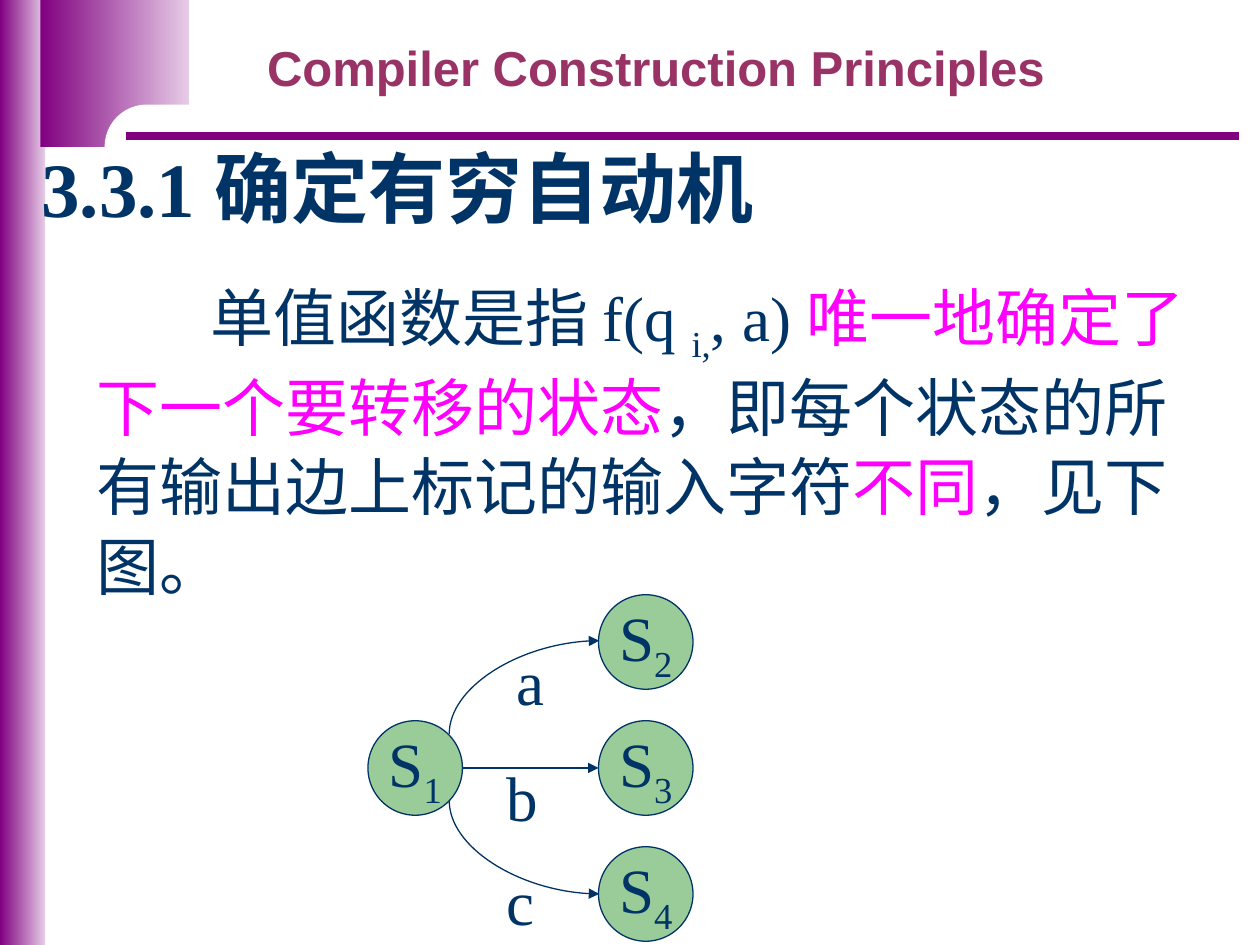
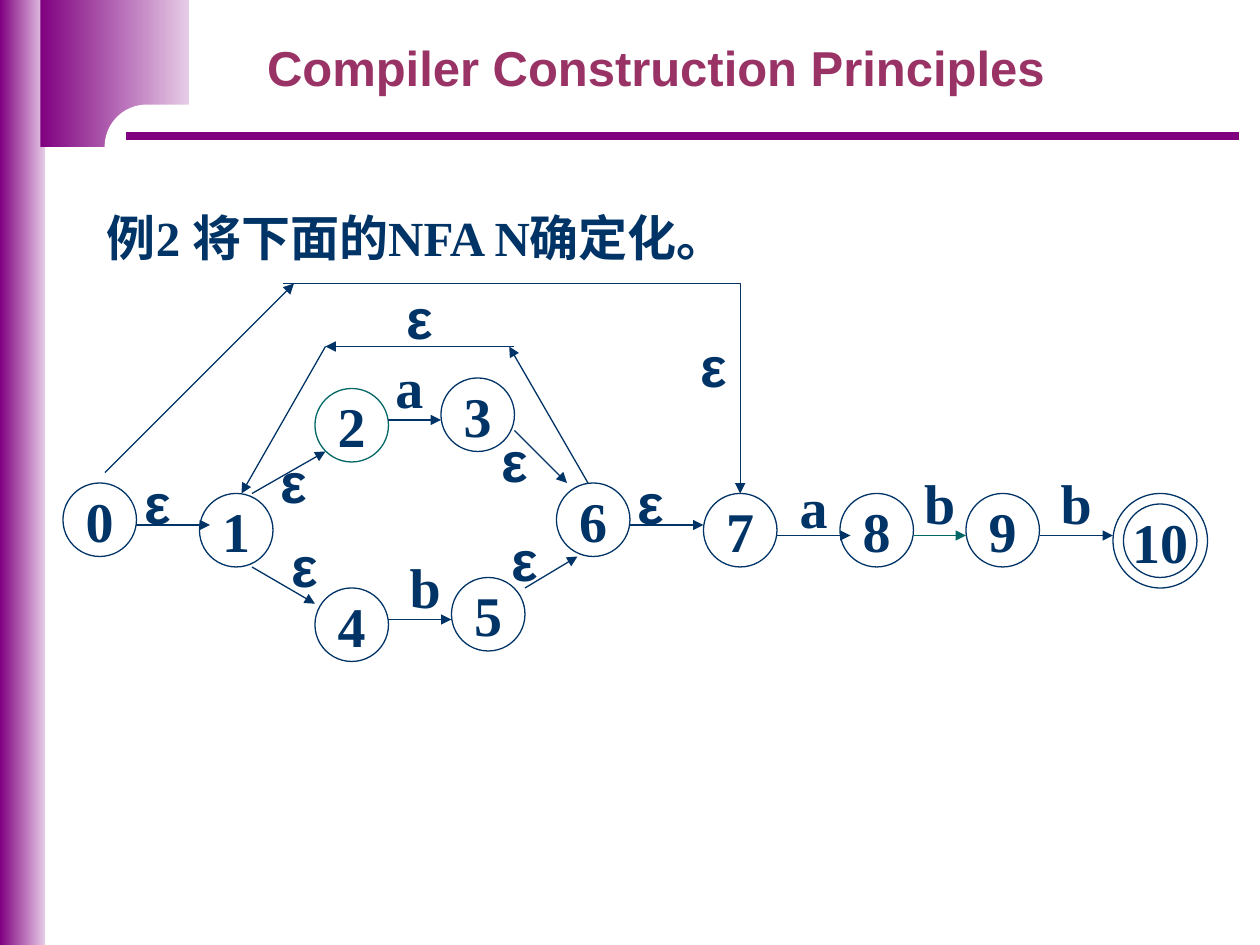
from lxml.etree import SubElement
from pptx import Presentation
from pptx.dml.color import RGBColor
from pptx.enum.shapes import MSO_CONNECTOR as LINK, MSO_SHAPE as SHAPE
from pptx.enum.text import MSO_ANCHOR as ANCHOR, PP_ALIGN as ALIGN
from pptx.oxml.ns import qn
from pptx.util import Inches, Pt

WIDTH, HEIGHT = 10, 7.5
INK, PURPLE, LILAC, PINK = "003366", "800080", "E6CCE6", "FF00FF"
PLUM, GREEN, TEAL, WHITE = "993366", "99CC99", "006666", "FFFFFF"
SERIF, SANS = "Times New Roman", "Arial"
COURSE = "Compiler Construction Principles"

SECTION = "3.3.1 确定有穷自动机"
DEFINITION = [
    ("单值函数是指 f(q ", INK, 0),
    ("i,", INK, -25),
    (", a) ", INK, 0),
    ("唯一地确定了下一个要转移的状态", PINK, 0),
    ("，即每个状态的所有输出边上标记的输入字符", INK, 0),
    ("不同", PINK, 0),
    ("，见下图。", INK, 0),
]
STATE_SIZE = 0.75
START = ("1", 2.92, 5.72)
TARGETS = [(str(row + 2), 4.75, 4.72 + row) for row in range(3)]
BRANCH_LABELS = [("a", 4, 5.05), ("b", 3.92, 5.97), ("c", 3.92, 6.8)]
BRANCH_CURVES = [
    ((4.53, 6.05), (3.79, 4.86), 90),
    ((4.53, 6.13), (3.79, 7.32), 270),
]

EXAMPLE = "例2 将下面的NFA N确定化。"
GRID = 1 / 12
NODE_SIZE, FINAL_SIZE = 7, 9
NODES = [
    ("0", 6, 46), ("1", 19, 47), ("2", 30, 37), ("3", 42, 36), ("4", 30, 56),
    ("5", 43, 55), ("6", 53, 46), ("7", 67, 47), ("8", 80, 47), ("9", 92, 47),
    ("10", 107, 48),
]
ARROWS = [
    ((13, 50), (20, 50)), ((24, 47), (31, 43)), ((24, 54), (30, 57.5)),
    ((37, 40), (42, 40)), ((37, 59), (43, 59)), ((49, 41), (54, 46)),
    ((50, 56), (55, 53)), ((60, 50), (67, 50)), ((74, 51), (81, 51)),
    ((87, 51), (92, 51)), ((99, 51), (106, 51)), ((56, 46), (48.5, 33)),
    ((49, 33), (31, 33)), ((31, 33), (23, 47)), ((10, 45), (28, 27)),
]
TEAL_ARROW = ((87, 51), (92, 51))
BOLD_ARROW = ((37, 40), (42, 40))
BYPASS = ((27, 27), (70.5, 47))
LABELS = {
    "ε": [(15, 44), (28, 42), (49, 40), (50, 49.5), (29, 50), (40, 26.4),
          (62, 44), (68, 31)],
    "a": [(77.5, 44.4), (39, 33)],
    "b": [(40.5, 52), (89.5, 44), (102.5, 44)],
}


def color(code):
    return RGBColor.from_string(code)


def add_span(para, text, size, ink=INK, font=SERIF, bold=False, shift=0):
    span = para.add_run()
    span.text = text
    span.font.size = Pt(size)
    span.font.name = font
    span.font.bold = bold
    span.font.color.rgb = color(ink)
    if shift:
        span.font._element.set("baseline", str(shift * 1000))


def add_text(page, left, top, width, height, align=ALIGN.LEFT, spacing=None,
             anchor=ANCHOR.TOP):
    box = page.shapes.add_textbox(*map(Inches, (left, top, width, height)))
    frame = box.text_frame
    frame.word_wrap = True
    frame.vertical_anchor = anchor
    para = frame.paragraphs[0]
    para.alignment = align
    if spacing:
        para.line_spacing = spacing
    return para


def add_block(page, kind, left, top, width, height, fill=None, line=None):
    block = page.shapes.add_shape(kind, *map(Inches, (left, top, width, height)))
    block.shadow.inherit = False
    if isinstance(fill, tuple):
        block.fill.gradient()
        block.fill.gradient_angle = 0
        for stop, code, position in zip(block.fill.gradient_stops, fill, (0, 1)):
            stop.color.rgb = color(code)
            stop.position = position
    elif fill:
        block.fill.solid()
        block.fill.fore_color.rgb = color(fill)
    else:
        block.fill.background()
    if line:
        block.line.color.rgb = color(line)
        block.line.width = Pt(0.75)
    else:
        block.line.fill.background()
    return block


def add_circle(page, left, top, size, fill=None, line=INK):
    circle = add_block(page, SHAPE.OVAL, left, top, size, size, fill, line)
    frame = circle.text_frame
    frame.word_wrap = False
    frame.vertical_anchor = ANCHOR.MIDDLE
    para = frame.paragraphs[0]
    para.alignment = ALIGN.CENTER
    return para


def add_link(page, start, end, kind=LINK.STRAIGHT, ink=INK, weight=0.75,
             arrow=True, preset=None, turn=0):
    link = page.shapes.add_connector(kind, *map(Inches, (*start, *end)))
    link.line.color.rgb = color(ink)
    link.line.width = Pt(weight)
    properties = link._element.spPr
    if arrow:
        SubElement(link.line._get_or_add_ln(), qn("a:tailEnd"), type="triangle")
    SubElement(properties, qn("a:effectLst"))
    if preset:
        properties.find(qn("a:prstGeom")).set("prst", preset)
    if turn:
        properties.find(qn("a:xfrm")).set("rot", str(turn * 60000))


def on_grid(point):
    return tuple(value * GRID for value in point)


def add_page(deck):
    page = deck.slides.add_slide(deck.slide_layouts[6])
    add_block(page, SHAPE.RECTANGLE, 0, 0, 0.36, HEIGHT, (PURPLE, LILAC))
    add_block(page, SHAPE.RECTANGLE, 0.32, 0, 1.18, 1.17, (PURPLE, LILAC))
    notch = add_block(page, SHAPE.ROUNDED_RECTANGLE, 0.83, 0.83, 5.58, 0.67, WHITE)
    notch.adjustments[0] = 0.5
    add_link(page, (1, 1.08), (9.83, 1.08), ink=PURPLE, weight=4.5, arrow=False)
    para = add_text(page, 1.91, 0.25, 6.59, 0.57, ALIGN.CENTER)
    add_span(para, COURSE, 28, PLUM, SANS, True)
    return page


def add_title(page, text, size, left, top, width, height):
    para = add_text(page, left, top, width, height, spacing=0.9, anchor=ANCHOR.BOTTOM)
    add_span(para, text, size, bold=True)


def build_definition(deck):
    page = add_page(deck)
    add_title(page, SECTION, 44, 0.23, 0.99, 9.77, 0.92)
    para = add_text(page, 0.67, 2.13, 8.91, 2.71, spacing=1.05)
    para._p.get_or_add_pPr().set("indent", str(Inches(0.9)))
    for text, ink, shift in DEFINITION:
        add_span(para, text, 36, ink, shift=shift)
    for number, left, top in [START, *TARGETS]:
        para = add_circle(page, left, top, STATE_SIZE, GREEN)
        add_span(para, "S", 36)
        add_span(para, number, 36, shift=-25)
    middle = START[2] + STATE_SIZE / 2
    add_link(page, (START[1] + STATE_SIZE, middle), (TARGETS[1][1], middle))
    for start, end, turn in BRANCH_CURVES:
        add_link(page, start, end, LINK.CURVE, preset="curvedConnector2", turn=turn)
    for text, left, top in BRANCH_LABELS:
        add_span(add_text(page, left, top, 0.42, 0.7), text, 36)


def build_example(deck):
    page = add_page(deck)
    add_title(page, EXAMPLE, 28, 0.75, 0.92, 8.75, 1.25)
    for name, left, top in NODES:
        line = TEAL if name == "2" else INK
        para = add_circle(page, *on_grid((left, top, NODE_SIZE)), line=line)
        add_span(para, name, 32, bold=True)
    _, left, top = NODES[-1]
    margin = (FINAL_SIZE - NODE_SIZE) / 2
    add_circle(page, *on_grid((left - margin, top - margin, FINAL_SIZE)))
    for arrow in ARROWS:
        start, end = map(on_grid, arrow)
        add_link(page, start, end, ink=TEAL if arrow == TEAL_ARROW else INK,
                 weight=1 if arrow == BOLD_ARROW else 0.75)
    add_link(page, *map(on_grid, BYPASS), kind=LINK.ELBOW, preset="bentConnector2")
    for text, places in LABELS.items():
        for center, top in places:
            para = add_text(page, *on_grid((center - 6, top, 12)), 0.64, ALIGN.CENTER)
            add_span(para, text, 32, font=SANS if text == "ε" else SERIF, bold=True)


def main():
    deck = Presentation()
    deck.slide_width, deck.slide_height = Inches(WIDTH), Inches(HEIGHT)
    build_definition(deck)
    build_example(deck)
    deck.save("out.pptx")


if __name__ == "__main__":
    main()
